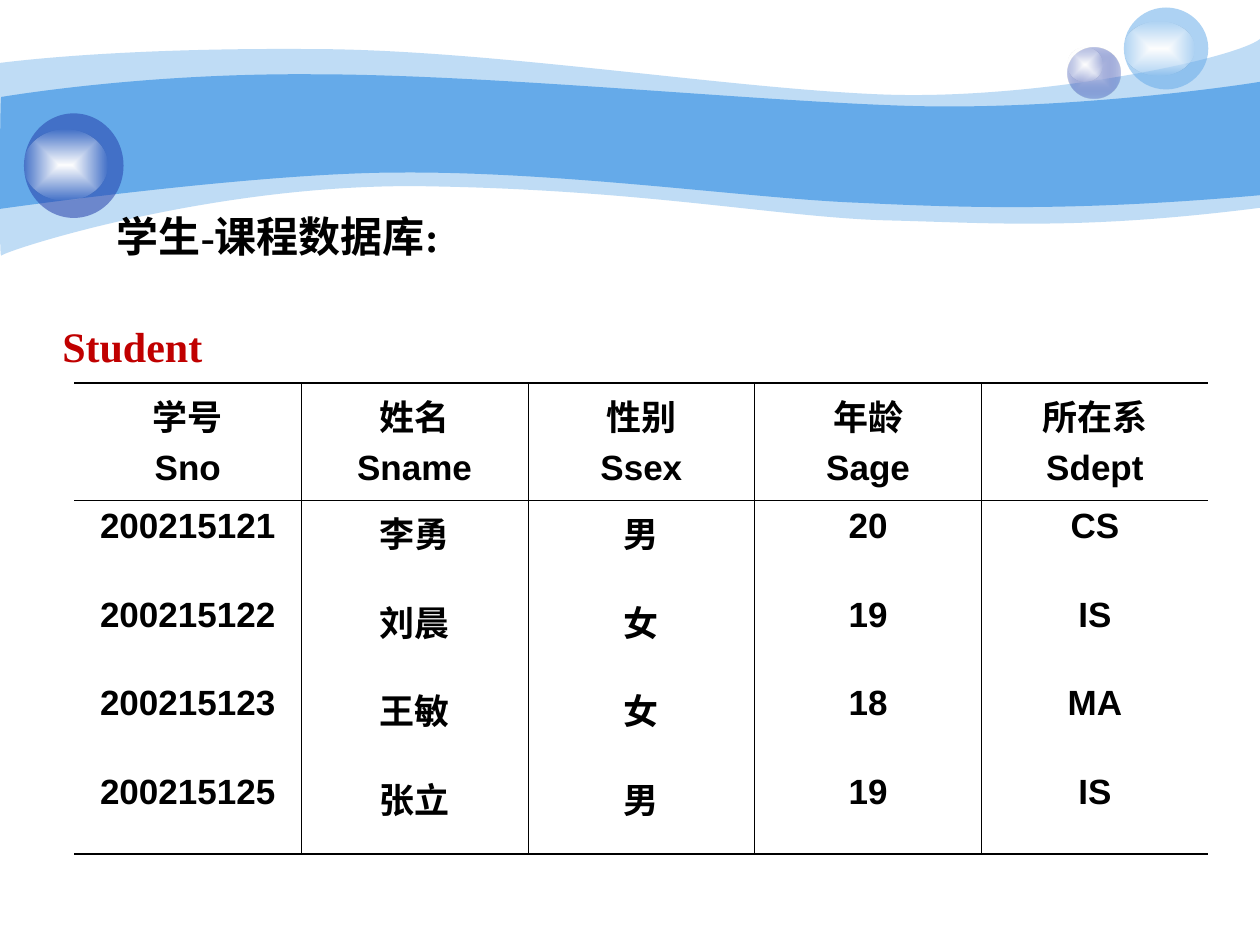
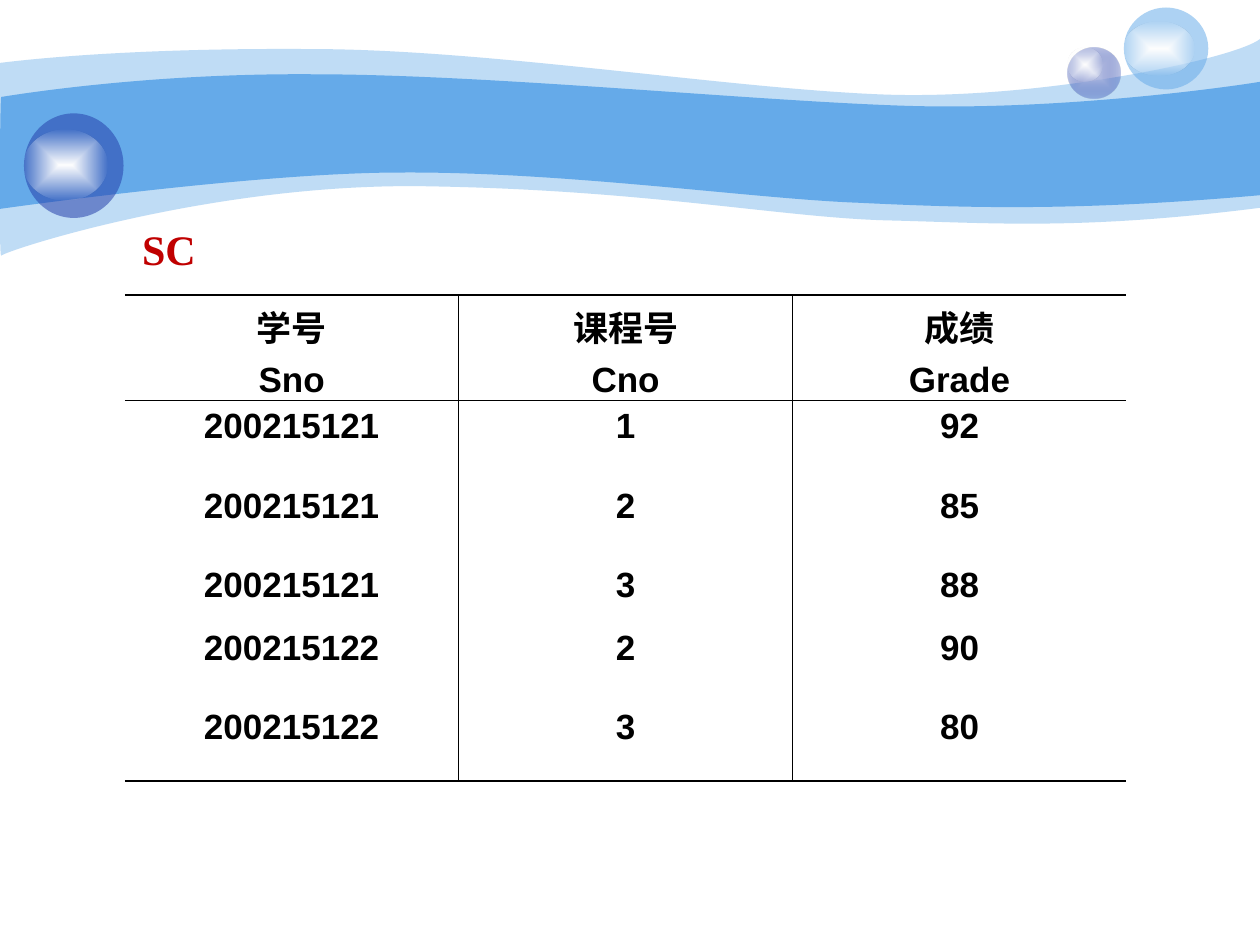
"""Build two slides that show the Student and SC tables of a course database."""
from dataclasses import dataclass

import pptx
import pptx.dml.color
import pptx.enum.shapes
import pptx.enum.text
import pptx.oxml
import pptx.oxml.ns
import pptx.slide
import pptx.util
from pptx.util import Inches

SKY, NAVY, MIST = "65AAE9", "233DA9", "C7CEE9"
WHITE, BLACK, RED = "FFFFFF", "000000", "C00000"
SERIF, SANS = "Times New Roman", "Arial"
NS = pptx.oxml.ns.nsdecls("a")
THIN, THICK = 0.45, 1.08

Point = tuple[float, float]


@dataclass(frozen=True)
class Band:
    """A wavy band: each edge is a start point followed by cubic curves."""
    upper: list[Point]
    lower: list[Point]
    opacity: int = 100


@dataclass(frozen=True)
class Ball:
    """An ellipse with gradient stops (colour, opacity), or one stop for a plain fill."""
    left: float
    top: float
    width: float
    height: float
    stops: tuple[tuple[str, int], ...]


@dataclass(frozen=True)
class Label:
    """A line of bold serif text in a box."""
    text: str
    left: float
    top: float
    width: float
    height: float
    color: str = RED
    centred: bool = True


@dataclass(frozen=True)
class Grid:
    """A ruled table; header cells hold a Chinese and an English name."""
    left: float
    top: float
    col_width: float
    row_heights: list[float]
    rows: list[list[str]]


SHINE = ((WHITE, 100), (WHITE, 0))

BANDS = [
    Band([(0, 0.5), (0.24, 0.47), (1.07, 0.38), (2.47, 0.39), (3.86, 0.39), (5.75, 0.7),
          (6.99, 0.75), (8.22, 0.8), (9.8, 0.47), (10, 0.31)],
         [(10, 1.65), (8.58, 1.83), (7.87, 1.77), (7.05, 1.75), (6.22, 1.73), (5.15, 1.51),
          (3.43, 1.48), (1.72, 1.44), (0.04, 1.99), (0.01, 2.03), (-0.01, 2.08), (0, 0.75),
          (0, 0.5)], 41),
    Band([(0.01, 0.77), (0.02, 0.77), (1.1, 0.58), (2.48, 0.59), (3.86, 0.59), (5.95, 0.8),
          (7.18, 0.84), (8.41, 0.88), (9.76, 0.69), (10, 0.65)],
         [(10, 1.55), (8.53, 1.68), (7.65, 1.65), (6.82, 1.61), (5.99, 1.58), (4.47, 1.36),
          (3.17, 1.37), (2.03, 1.37), (-0.02, 1.66), (-0.01, 1.66), (0, 1.66), (0, 0.77),
          (0.01, 0.77)]),
]

BALLS = [
    Ball(8.47, 0.38, 0.42, 0.4, ((MIST, 100), (NAVY, 31))),
    Ball(8.47, 0.38, 0.28, 0.27, SHINE),
    Ball(8.92, 0.06, 0.67, 0.65, ((SKY, 53),)),
    Ball(8.92, 0.17, 0.56, 0.43, SHINE),
    Ball(0.19, 0.9, 0.79, 0.83, ((NAVY, 53),)),
    Ball(0.19, 1.03, 0.66, 0.56, SHINE),
]

STUDENT = Grid(0.59, 3.04, 1.8, [0.93, 0.71, 0.7, 0.7, 0.7], [
    ["学号\nSno", "姓名\nSname", "性别\nSsex", "年龄\nSage", "所在系\nSdept"],
    ["200215121", "李勇", "男", "20", "CS"],
    ["200215122", "刘晨", "女", "19", "IS"],
    ["200215123", "王敏", "女", "18", "MA"],
    ["200215125", "张立", "男", "19", "IS"],
])

SC = Grid(0.99, 2.34, 2.65, [0.84, 0.63, 0.63, 0.5, 0.63, 0.63], [
    ["学号\nSno", "课程号\nCno", "成绩\nGrade"],
    ["200215121", "1", "92"],
    ["200215121", "2", "85"],
    ["200215121", "3", "88"],
    ["200215122", "2", "90"],
    ["200215122", "3", "80"],
])

SLIDES = [
    ([Label("Student", 0.35, 2.41, 1.4, 0.67),
      Label("学生-课程数据库:", 0.83, 1.62, 8.19, 0.5, BLACK, False)], STUDENT),
    ([Label("SC", 0.75, 1.7, 1.18, 0.55)], SC),
]


def rgb(color: str) -> pptx.dml.color.RGBColor:
    """Turn a hex string into a colour."""
    return pptx.dml.color.RGBColor.from_string(color)


def color_xml(color: str, opacity: int) -> str:
    """Write a colour with its opacity in percent."""
    return f'<a:srgbClr val="{color}"><a:alpha val="{opacity * 1000}"/></a:srgbClr>'


def paint(sp, stops: tuple[tuple[str, int], ...]) -> None:
    """Fill a shape with one colour or a gradient from its centre, without line or shadow."""
    sp.shadow.inherit = False
    sp.line.fill.background()
    sp.fill.background()
    if len(stops) == 1:
        xml = f"<a:solidFill {NS}>{color_xml(*stops[0])}</a:solidFill>"
    else:
        marks = "".join(f'<a:gs pos="{i * 100000}">{color_xml(*stop)}</a:gs>'
                        for i, stop in enumerate(stops))
        xml = (f'<a:gradFill {NS} rotWithShape="1"><a:gsLst>{marks}</a:gsLst><a:path path="rect">'
               '<a:fillToRect l="50000" t="50000" r="50000" b="50000"/></a:path></a:gradFill>')
    sp_pr = sp._element.spPr
    sp_pr.replace(sp_pr.find(pptx.oxml.ns.qn("a:noFill")), pptx.oxml.parse_xml(xml))


def bend(lines: list) -> None:
    """Turn each three line segments into one cubic curve."""
    for i in range(0, len(lines), 3):
        curve = pptx.oxml.parse_xml(f"<a:cubicBezTo {NS}/>")
        lines[i].addprevious(curve)
        for line in lines[i:i + 3]:
            curve.append(line[0])
            line.getparent().remove(line)


def add_band(s: pptx.slide.Slide, band: Band) -> None:
    """Draw a wavy band."""
    points = [(Inches(x), Inches(y)) for x, y in band.upper + band.lower]
    builder = s.shapes.build_freeform(*points[0])
    builder.add_line_segments(points[1:], close=True)
    sp = builder.convert_to_shape()
    lines = list(sp._element.iter(pptx.oxml.ns.qn("a:lnTo")))
    corner = len(band.upper)
    bend(lines[:corner - 1])
    bend(lines[corner:corner + len(band.lower) - 1])
    paint(sp, ((SKY, band.opacity),))


def add_ball(s: pptx.slide.Slide, ball: Ball) -> None:
    """Draw a ball or its shine."""
    sp = s.shapes.add_shape(pptx.enum.shapes.MSO_SHAPE.OVAL, Inches(ball.left), Inches(ball.top),
                            Inches(ball.width), Inches(ball.height))
    paint(sp, ball.stops)


def style(p, size: int, font: str, color: str) -> None:
    """Set a paragraph in bold type."""
    p.font.size = pptx.util.Pt(size)
    p.font.name = font
    p.font.bold = True
    p.font.color.rgb = rgb(color)


def add_label(s: pptx.slide.Slide, label: Label) -> None:
    """Write a label; centred ones do not wrap."""
    tf = s.shapes.add_textbox(Inches(label.left), Inches(label.top),
                              Inches(label.width), Inches(label.height)).text_frame
    tf.word_wrap = not label.centred
    p = tf.paragraphs[0]
    p.text = label.text
    if label.centred:
        tf.vertical_anchor = pptx.enum.text.MSO_ANCHOR.MIDDLE
        p.alignment = pptx.enum.text.PP_ALIGN.CENTER
    style(p, 24, SERIF, label.color)


def add_borders(cell, widths: dict[str, float]) -> None:
    """Rule the sides of a cell; a zero width leaves the side open."""
    tc_pr = cell._tc.get_or_add_tcPr()
    for side, width in widths.items():
        fill = f"<a:solidFill>{color_xml(BLACK, 100)}</a:solidFill>" if width else "<a:noFill/>"
        tc_pr.append(pptx.oxml.parse_xml(
            f'<a:ln{side} {NS} w="{pptx.util.Pt(width)}">{fill}</a:ln{side}>'))
    cell.fill.background()


def add_grid(s: pptx.slide.Slide, grid: Grid) -> None:
    """Draw a table with a ruled header and open outer sides."""
    n_rows, n_cols = len(grid.rows), len(grid.rows[0])
    table = s.shapes.add_table(n_rows, n_cols, Inches(grid.left), Inches(grid.top),
                               Inches(grid.col_width * n_cols),
                               Inches(sum(grid.row_heights))).table
    table.first_row = table.horz_banding = False
    for column in table.columns:
        column.width = Inches(grid.col_width)
    rules = [THICK, THIN] + [0] * (n_rows - 2) + [THICK]
    for i, (height, texts) in enumerate(zip(grid.row_heights, grid.rows)):
        table.rows[i].height = Inches(height)
        for j, text in enumerate(texts):
            cell = table.cell(i, j)
            cell.text = text
            for k, p in enumerate(cell.text_frame.paragraphs):
                p.alignment = pptx.enum.text.PP_ALIGN.CENTER
                p.space_before = pptx.util.Pt(5 if k else 0)
                style(p, 20, SANS, BLACK)
            add_borders(cell, {"L": THIN if j else 0, "R": THIN if j < n_cols - 1 else 0,
                               "T": rules[i], "B": rules[i + 1]})


def main() -> None:
    """Build the deck."""
    prs = pptx.Presentation()
    prs.slide_width, prs.slide_height = Inches(10), Inches(7.5)
    for labels, grid in SLIDES:
        s = prs.slides.add_slide(prs.slide_layouts[6])
        for band in BANDS:
            add_band(s, band)
        for ball in BALLS:
            add_ball(s, ball)
        for label in labels:
            add_label(s, label)
        add_grid(s, grid)
    prs.save("out.pptx")


if __name__ == "__main__":
    main()
